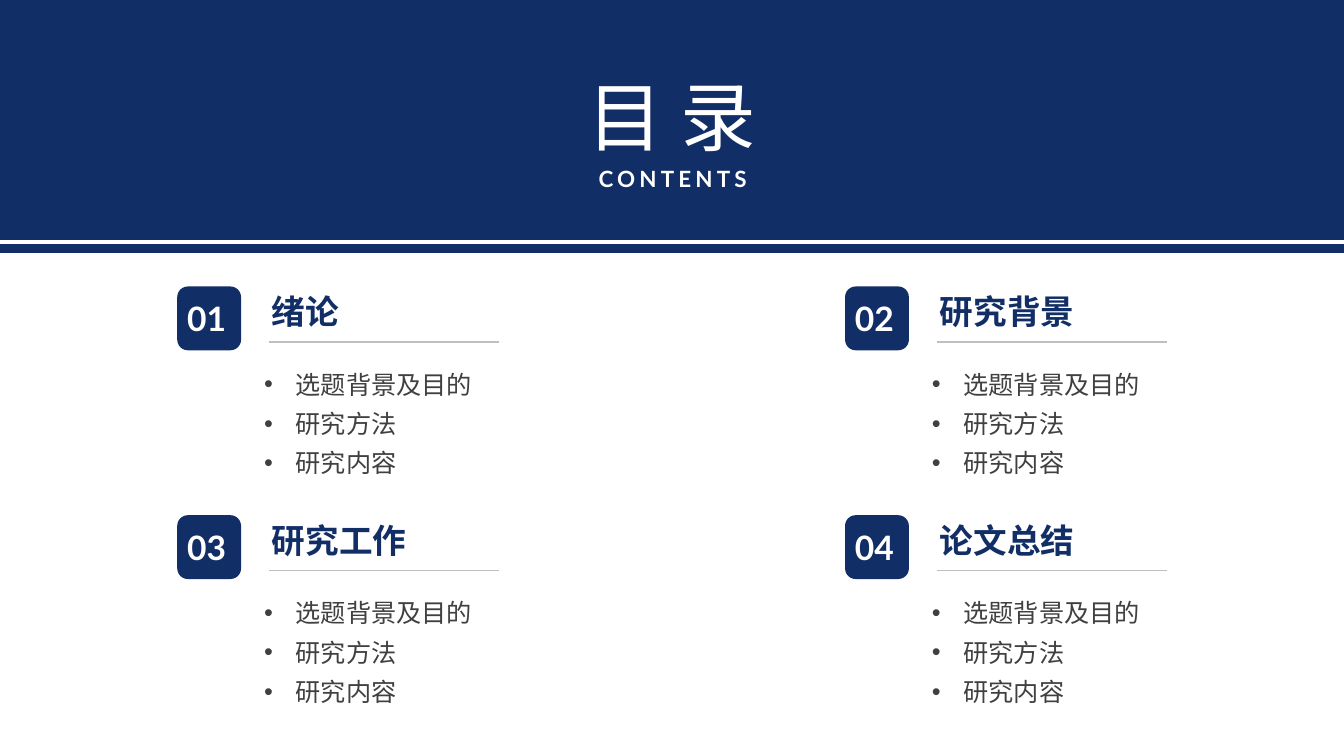
from dataclasses import dataclass

from lxml import etree
from pptx import Presentation
from pptx.dml.color import RGBColor
from pptx.enum.shapes import MSO_CONNECTOR, MSO_SHAPE
from pptx.enum.text import MSO_ANCHOR, PP_ALIGN
from pptx.oxml.ns import qn
from pptx.util import Pt

RECTANGLE = MSO_SHAPE.RECTANGLE
ROUNDED = MSO_SHAPE.ROUNDED_RECTANGLE
STRAIGHT = MSO_CONNECTOR.STRAIGHT
TOP = MSO_ANCHOR.TOP
CENTER = PP_ALIGN.CENTER
TITLE_ONLY = 5


@dataclass(frozen=True)
class Theme:
    navy: RGBColor = RGBColor.from_string("122E66")
    white: RGBColor = RGBColor.from_string("FFFFFF")
    gray: RGBColor = RGBColor.from_string("404040")
    rule: RGBColor = RGBColor.from_string("BFBFBF")
    title_font: str = "Noto Sans CJK JP"
    latin_font: str = "Lato"
    body_font: str = "Karla"
    title_size: int = 54
    heading_size: int = 24
    body_size: int = 18
    subtitle_size: int = 16


THEME = Theme()
TITLE = dict(name=THEME.title_font, size=Pt(THEME.title_size), bold=False, color=THEME.white)
SUBTITLE = dict(name=THEME.latin_font, size=Pt(THEME.subtitle_size), bold=True, color=THEME.white)
NUMBER = dict(SUBTITLE, size=Pt(THEME.heading_size))
HEADING = dict(name=THEME.body_font, size=Pt(THEME.heading_size), bold=True, color=THEME.navy)
BODY = dict(name=THEME.body_font, size=Pt(THEME.body_size), bold=False, color=THEME.gray)

HEADINGS = ["绪论", "研究背景", "研究工作", "论文总结"]
TOPICS = ["选题背景及目的", "研究方法", "研究内容"]
COLUMNS = 2
FIRST_LEFT, FIRST_TOP = 126.6, 204.6
COLUMN_STEP, ROW_STEP = 477, 163.4
BADGE_SIZE = 45.6
BULLET_INDENT = 22.5


def format_run(run, style):
    for attribute, value in style.items():
        if attribute == "color":
            run.font.color.rgb = value
        else:
            setattr(run.font, attribute, value)
    east_asian = etree.SubElement(run.font._element, qn("a:ea"))
    east_asian.set("typeface", style["name"])


def add_bullet(paragraph):
    properties = paragraph._p.get_or_add_pPr()
    properties.set("marL", str(Pt(BULLET_INDENT)))
    properties.set("indent", str(-Pt(BULLET_INDENT)))
    etree.SubElement(properties, qn("a:buFont")).set("typeface", "Arial")
    etree.SubElement(properties, qn("a:buChar")).set("char", "•")
    paragraph.line_spacing = 1.3


def add_text(shapes, box, lines, style, bulleted=False):
    text_box = shapes.add_textbox(*map(Pt, box))
    frame = text_box.text_frame
    frame.word_wrap = True
    for index, line in enumerate(lines):
        paragraph = frame.add_paragraph() if index else frame.paragraphs[0]
        if bulleted:
            add_bullet(paragraph)
        run = paragraph.add_run()
        run.text = line
        format_run(run, style)
    return text_box


def add_block(shapes, kind, box):
    """Add a plain navy shape."""
    block = shapes.add_shape(kind, *map(Pt, box))
    block.shadow.inherit = False
    block.fill.solid()
    block.fill.fore_color.rgb = THEME.navy
    block.line.fill.background()
    return block


def add_rule(shapes, left, right, top, color, width):
    rule = shapes.add_connector(STRAIGHT, Pt(left), Pt(top), Pt(right), Pt(top))
    rule.line.color.rgb = color
    rule.line.width = Pt(width)
    etree.SubElement(rule._element.spPr, qn("a:effectLst"))


def add_header(slide):
    band = add_block(slide.shapes, RECTANGLE, (0, -5.8, 962, 186.5))
    title = slide.shapes.title
    title._element.addprevious(band._element)
    box = dict(left=405.4, top=46.1, width=149, height=72.7)
    for attribute, value in box.items():
        setattr(title, attribute, Pt(value))
    frame = title.text_frame
    frame.vertical_anchor = TOP
    frame.word_wrap = True
    paragraph = frame.paragraphs[0]
    paragraph.alignment = CENTER
    run = paragraph.add_run()
    run.text = "目 录"
    format_run(run, TITLE)

    subtitle = add_text(slide.shapes, (420.5, 114.5, 126, 26.6), ["CONTENTS"], SUBTITLE)
    subtitle.text_frame.paragraphs[0].runs[0].font._element.set("spc", "300")
    add_rule(slide.shapes, -0.7, 962, 172.8, THEME.white, 2.75)


def add_section(slide, index, heading):
    row, column = divmod(index, COLUMNS)
    left = FIRST_LEFT + column * COLUMN_STEP
    top = FIRST_TOP + row * ROW_STEP
    shapes = slide.shapes.add_group_shape().shapes
    add_text(shapes, (left + 55, top + 49, 175, 90.7), TOPICS, BODY, bulleted=True)
    add_rule(shapes, left + 65.6, left + 229.9, top + 39.7, THEME.rule, 0.75)
    add_block(shapes, ROUNDED, (left, top, BADGE_SIZE, BADGE_SIZE))
    add_text(shapes, (left, top + 4.7, 54, 36), [f"{index + 1:02}"], NUMBER)
    add_text(shapes, (left + 60.6, top, 114.5, 36), [heading], HEADING)


def main():
    presentation = Presentation()
    presentation.slide_width = Pt(960)
    presentation.slide_height = Pt(540)
    slide = presentation.slides.add_slide(presentation.slide_layouts[TITLE_ONLY])
    add_header(slide)
    for index, heading in enumerate(HEADINGS):
        add_section(slide, index, heading)
    presentation.save("out.pptx")


if __name__ == "__main__":
    main()
